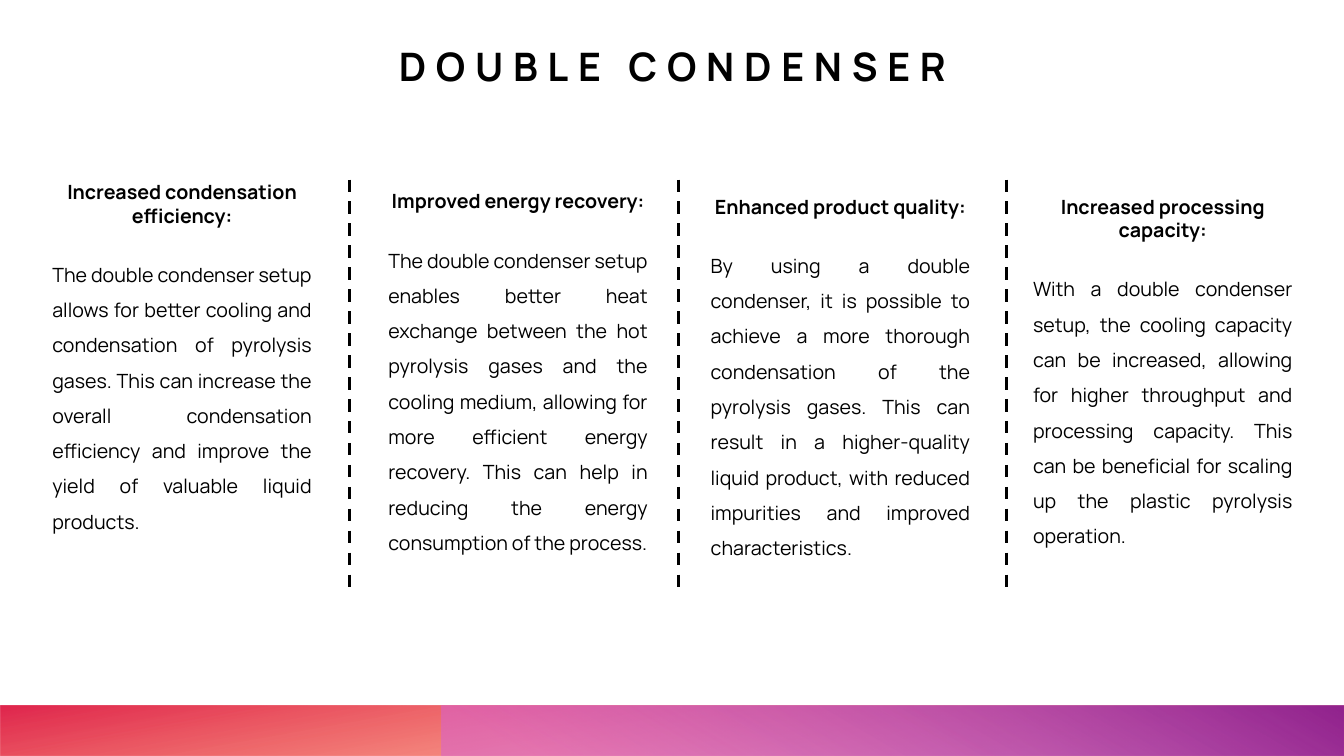
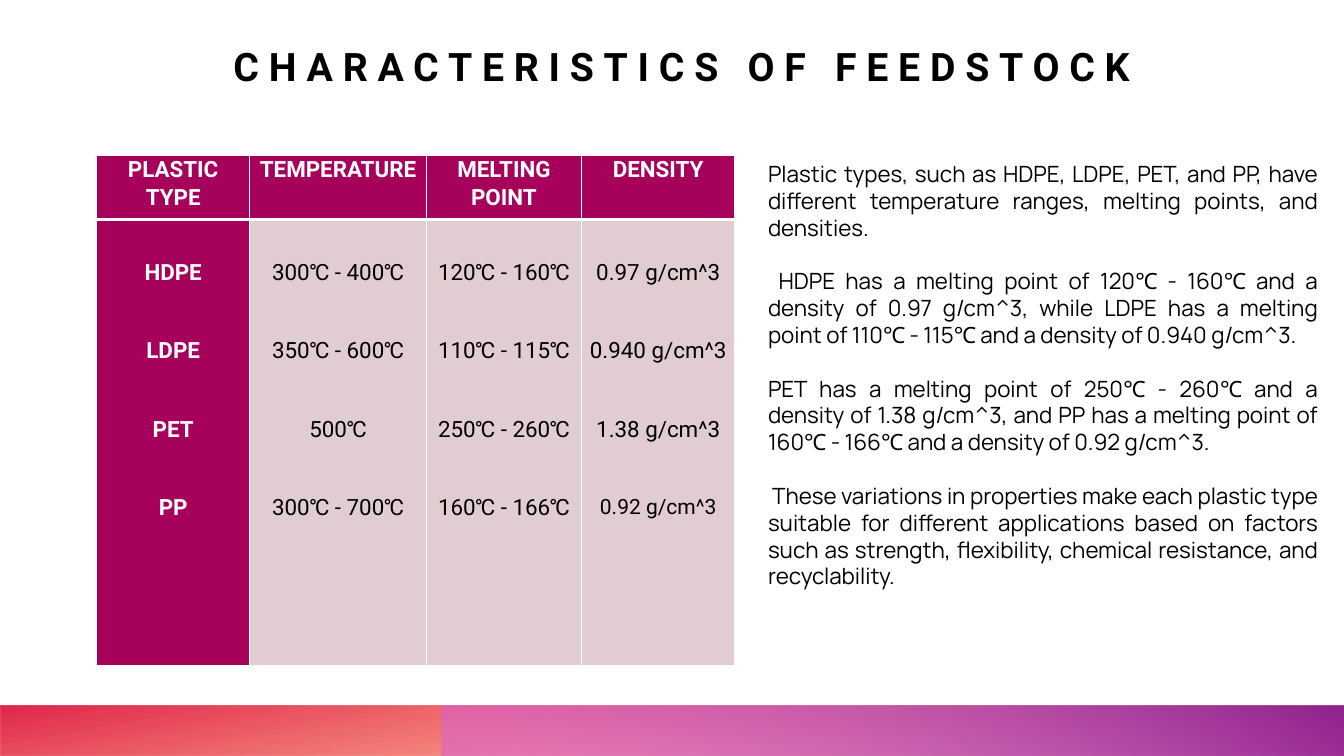
from lxml import etree
from pptx import Presentation
from pptx.dml.color import RGBColor
from pptx.enum.dml import MSO_LINE
from pptx.enum.shapes import MSO_CONNECTOR, MSO_SHAPE
from pptx.enum.text import MSO_ANCHOR, MSO_AUTO_SIZE, PP_ALIGN
from pptx.oxml.ns import qn
from pptx.util import Pt

PX = 9525
WIDTH, HEIGHT = 1280, 720
TITLE_ONLY = 5
RECT, ROUND = MSO_SHAPE.RECTANGLE, MSO_SHAPE.ROUNDED_RECTANGLE
CENTER, JUSTIFY = PP_ALIGN.CENTER, PP_ALIGN.JUSTIFY
TOP, BOTTOM = MSO_ANCHOR.TOP, MSO_ANCHOR.BOTTOM

COLORS = {
    "ink": "000000", "paper": "FFFFFF", "head": "A6025C", "cell": "E1CCD2",
    "orange": "FE4A00", "red": "DA002F", "pink": "D861D4", "purple": "92248E",
}
SANS, GRID = "Manrope", "Roboto"

# left, top, height, text top, heading, body
CARDS = [
    (26, 144, 452, 171, "Increased condensation efficiency:",
     "The double condenser setup allows for better cooling and condensation of "
     "pyrolysis gases. This can increase the overall condensation efficiency and "
     "improve the yield of valuable liquid products."),
    (346, 144, 459, 180, "Improved energy recovery:",
     "The double condenser setup enables better heat exchange between the hot "
     "pyrolysis gases and the cooling medium, allowing for more efficient energy "
     "recovery. This can help in reducing the energy consumption of the process."),
    (653, 122, 457, 185, "Enhanced product quality:",
     "By using a double condenser, it is possible to achieve a more thorough "
     "condensation of the pyrolysis gases. This can result in a higher-quality "
     "liquid product, with reduced impurities and improved characteristics."),
    (960, 122, 461, 185, "Increased processing capacity:",
     "With a double condenser setup, the cooling capacity can be increased, "
     "allowing for higher throughput and processing capacity. This can be "
     "beneficial for scaling up the plastic pyrolysis operation."),
]
CARD_WIDTH, CARD_INSET = 295, 14

# width, header, values
COLUMNS = [
    (146, "PLASTIC TYPE", ["HDPE", "LDPE", "PET", "PP"]),
    (168, "TEMPERATURE", ["300℃ - 400℃", "350℃ - 600℃", "500℃", "300℃ - 700℃"]),
    (148, "MELTING POINT",
     ["120℃ - 160℃", "110℃ - 115℃", "250℃ - 260℃", "160℃ - 166℃"]),
    (146, "DENSITY", ["0.97 g/cm^3", "0.940 g/cm^3", "1.38 g/cm^3", "0.92 g/cm^3"]),
]
ROWS = [61, 425]

# first-line indent, text
NOTES = [
    (0, "Plastic types, such as HDPE, LDPE, PET, and PP, have different temperature "
        "ranges, melting points, and densities."),
    (10, "HDPE has a melting point of 120℃ - 160℃ and a density of 0.97 g/cm^3, while "
         "LDPE has a melting point of 110℃ - 115℃ and a density of 0.940 g/cm^3."),
    (0, "PET has a melting point of 250℃ - 260℃ and a density of 1.38 g/cm^3, and PP "
        "has a melting point of 160℃ - 166℃ and a density of 0.92 g/cm^3."),
    (4, "These variations in properties make each plastic type suitable for different "
        "applications based on factors such as strength, flexibility, chemical "
        "resistance, and recyclability."),
]


def px(*values):
    return [value * PX for value in values]


def color(name):
    return RGBColor.from_string(COLORS[name])


def apply(target, **values):
    for name, value in values.items():
        setattr(target, name, value)


def write(par, text, size, font=SANS, ink="ink", bold=False, **format):
    """Fill a paragraph with one run; format holds paragraph attributes."""
    apply(par, **format)
    run = par.add_run()
    run.text = text
    apply(run.font, name=font, size=Pt(size), bold=bold)
    run.font.color.rgb = color(ink)
    return run


def next_par(frame, index):
    return frame.add_paragraph() if index else frame.paragraphs[0]


def add_box(slide, kind, left, top, width, height):
    shape = slide.shapes.add_shape(kind, *px(left, top, width, height))
    shape.shadow.inherit = False
    return shape


def add_band(slide, left, angle, stops, turn=0):
    """Draw a mirrored gradient band; stops are (position, colour, opacity)."""
    band = add_box(slide, RECT, left, 672, WIDTH - left, 48)
    band.rotation = turn
    band.element.spPr.get_or_add_xfrm().set("flipH", "1")
    band.line.fill.background()
    band.fill.gradient()
    band.fill.gradient_angle = 360 - angle
    for stop, (place, name, alpha) in zip(band.fill.gradient_stops, stops):
        stop.position = place / 100
        stop.color.rgb = color(name)
    for tint, (place, name, alpha) in zip(band.element.iter(qn("a:srgbClr")), stops):
        etree.SubElement(tint, qn("a:alpha"), val=str(alpha * 1000))
    return band


def add_footer(layout, slide):
    """Move the bands into the layout, so that every slide shows them."""
    bands = [
        add_band(slide, 0, 100, [(14, "orange", 28), (100, "red", 85)], 180),
        add_band(slide, 421, 240, [(9, "pink", 55), (99, "purple", 100)]),
    ]
    for band in bands:
        layout.shapes.element.append(band.element)


def set_title(slide, text, left, top, font):
    title = slide.shapes.title
    apply(title, **dict(zip(("left", "top", "width", "height"),
                            px(left, top, 1075, 85 - top))))
    frame = title.text_frame
    apply(frame, margin_left=0, margin_right=0, margin_top=0, margin_bottom=0,
          word_wrap=True, vertical_anchor=BOTTOM, auto_size=MSO_AUTO_SIZE.NONE)
    run = write(frame.paragraphs[0], text, 28, font, bold=True, alignment=CENTER)
    run.font._element.set("spc", "700")


def add_card(slide, left, top, height, start, head, body):
    card = add_box(slide, ROUND, left, top, CARD_WIDTH, height)
    card.fill.solid()
    card.fill.fore_color.rgb = card.line.color.rgb = color("paper")
    card.line.width = Pt(1)
    frame = card.text_frame
    apply(frame, word_wrap=True, vertical_anchor=TOP,
          margin_top=(start - top - CARD_INSET) * PX)
    write(frame.paragraphs[0], head, 14, bold=True, alignment=CENTER)
    write(frame.add_paragraph(), body, 14, alignment=JUSTIFY,
          line_spacing=1.5, space_before=Pt(17))


def add_rule(slide, x):
    rule = slide.shapes.add_connector(MSO_CONNECTOR.STRAIGHT, *px(x, 171, x, 565))
    apply(rule.line, width=Pt(2.25), dash_style=MSO_LINE.DASH)
    rule.line.color.rgb = color("ink")
    etree.SubElement(rule.element.spPr, qn("a:effectLst"))


def set_cell(cell, texts, fill, foot, top=0, **font):
    """Style a cell; foot is the width of its bottom border in points."""
    props = cell._tc.get_or_add_tcPr()
    for side, width in {"L": 1, "R": 1, "T": 1, "B": foot}.items():
        edge = etree.SubElement(props, qn("a:ln" + side), w=str(Pt(width)))
        paint = etree.SubElement(edge, qn("a:solidFill"))
        etree.SubElement(paint, qn("a:srgbClr"), val=COLORS["paper"])
    cell.fill.solid()
    cell.fill.fore_color.rgb = color(fill)
    apply(cell, margin_left=7 * PX, margin_right=7 * PX, margin_top=top * PX,
          margin_bottom=0)
    for i, text in enumerate(texts):
        write(next_par(cell.text_frame, i), text, 16, GRID, alignment=CENTER,
              line_spacing=1.07, space_before=Pt(36 if i else 0), **font)


def add_grid(slide):
    size = sum(column[0] for column in COLUMNS), sum(ROWS)
    grid = slide.shapes.add_table(2, len(COLUMNS), *px(92, 148, *size)).table
    for row, height in zip(grid.rows, ROWS):
        row.height = height * PX
    label = {"ink": "paper", "bold": True}
    for i, (width, head, values) in enumerate(COLUMNS):
        grid.columns[i].width = width * PX
        set_cell(grid.cell(0, i), [head], "head", 3, **label)
        look = {} if i else label
        set_cell(grid.cell(1, i), values, "cell" if i else "head", 1, 37, **look)
    last = grid.cell(1, len(COLUMNS) - 1).text_frame.paragraphs[-1]
    last.runs[0].font.size = Pt(15)


def add_notes(slide):
    frame = slide.shapes.add_textbox(*px(722, 148, 543, 488)).text_frame
    frame.word_wrap = True
    for i, (indent, text) in enumerate(NOTES):
        par = next_par(frame, i)
        write(par, text, 16, alignment=JUSTIFY, space_before=Pt(19 if i else 0))
        par._p.get_or_add_pPr().set("indent", str(indent * PX))


def main():
    deck = Presentation()
    deck.slide_width, deck.slide_height = px(WIDTH, HEIGHT)
    layout = deck.slide_layouts[TITLE_ONLY]

    slide = deck.slides.add_slide(layout)
    add_footer(layout, slide)
    set_title(slide, "DOUBLE CONDENSER", 103, 12, SANS)
    for card in CARDS:
        add_card(slide, *card)
    for x in range(333, 960, 313):
        add_rule(slide, x)

    slide = deck.slides.add_slide(layout)
    set_title(slide, "CHARACTERISTICS OF FEEDSTOCK", 112, 28, GRID)
    add_grid(slide)
    add_notes(slide)
    deck.save("out.pptx")


if __name__ == "__main__":
    main()
